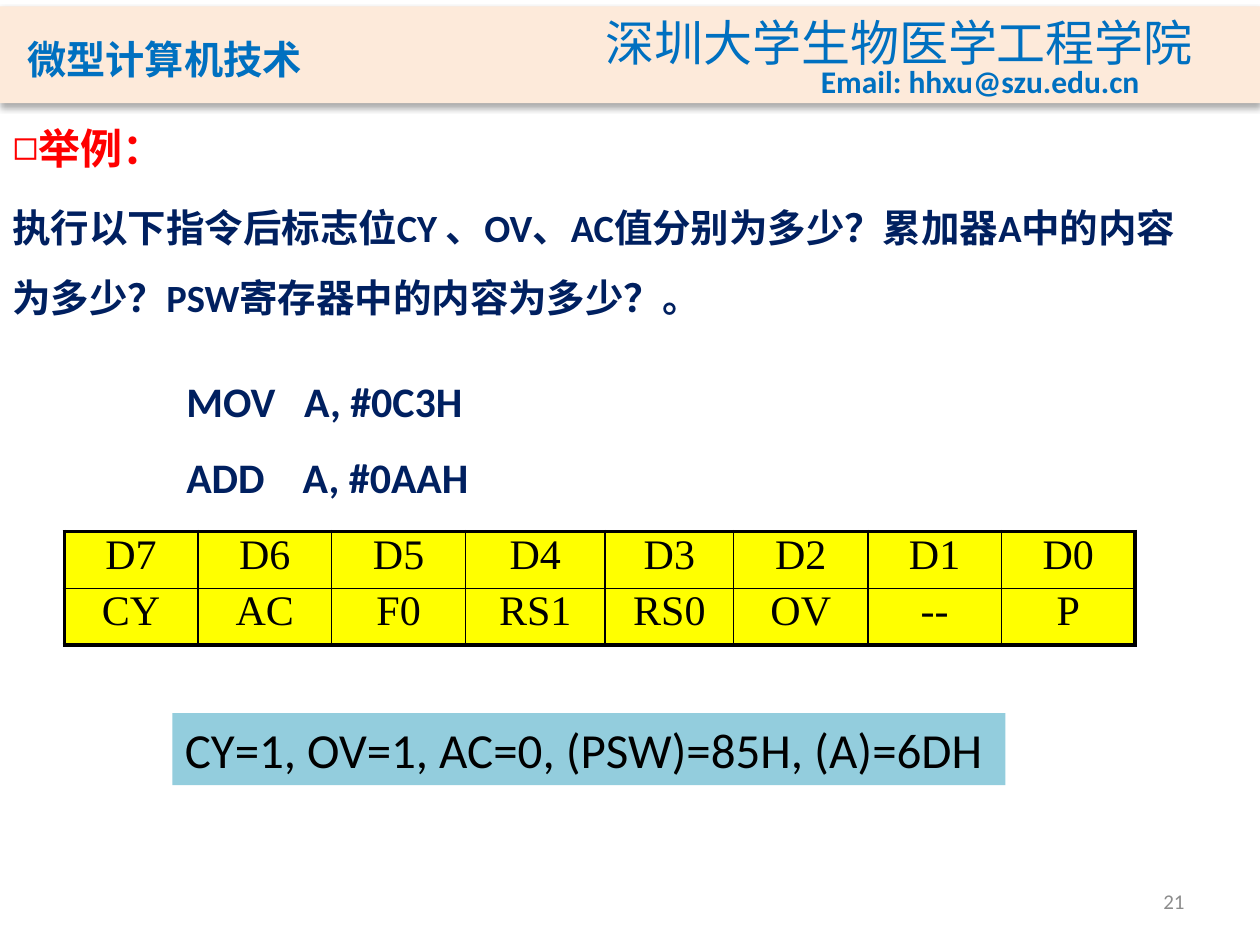
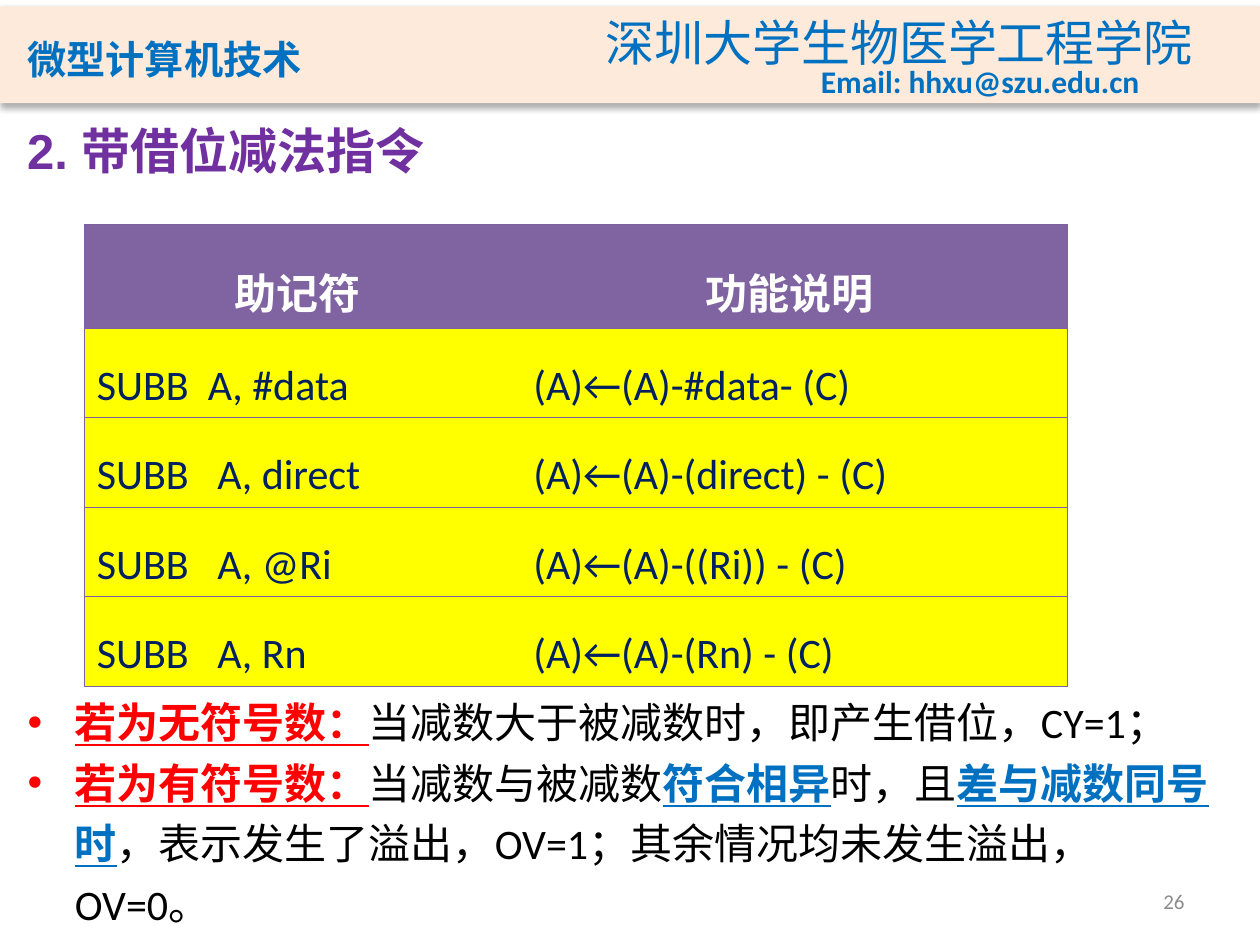
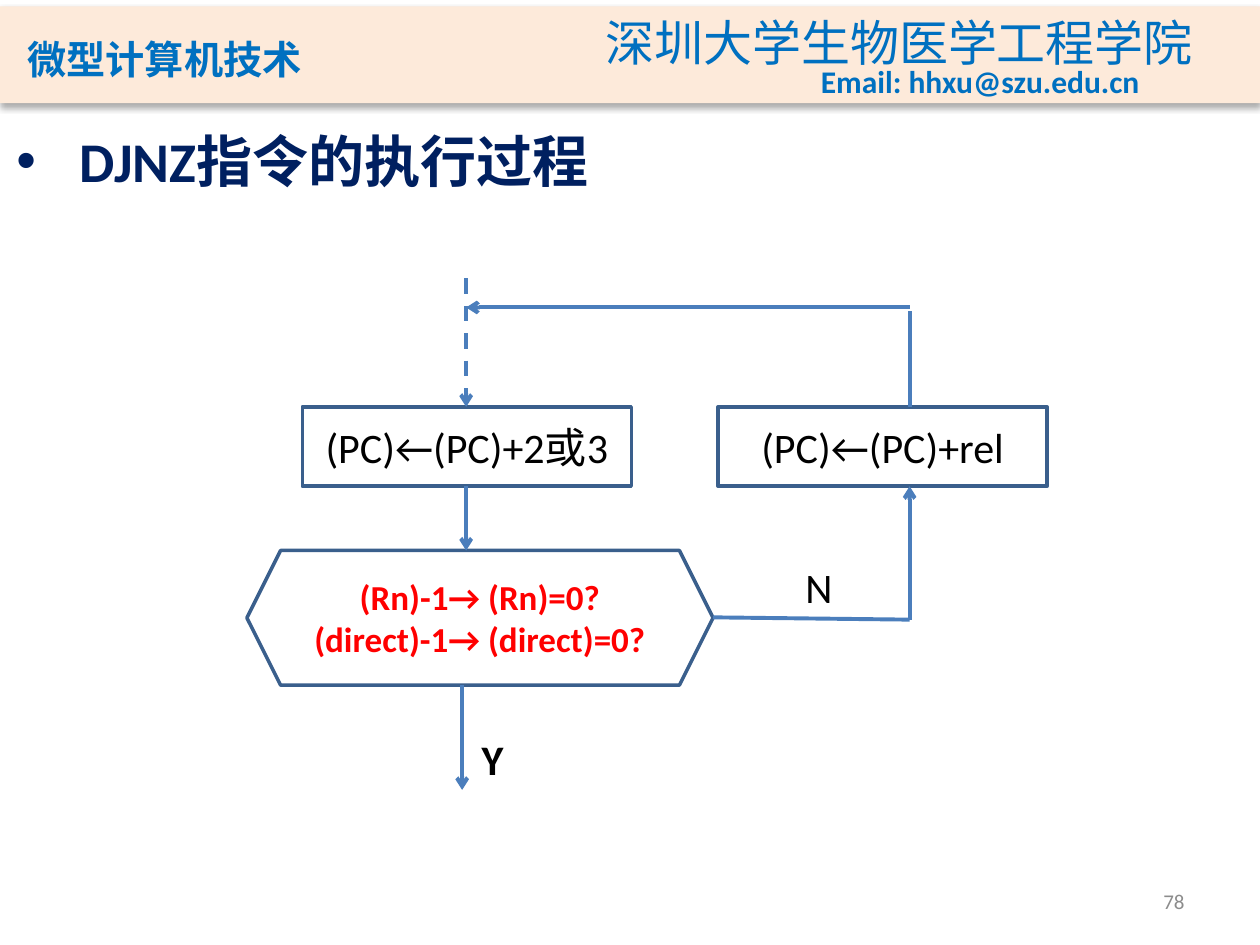
from dataclasses import dataclass

from lxml.etree import SubElement
from pptx import Presentation
from pptx.dml.color import RGBColor
from pptx.enum.dml import MSO_LINE
from pptx.enum.shapes import MSO_CONNECTOR, MSO_SHAPE
from pptx.enum.text import MSO_ANCHOR, MSO_AUTO_SIZE, PP_ALIGN
from pptx.oxml.ns import qn
from pptx.util import Pt


@dataclass(frozen=True)
class Style:
    size: float
    color: str
    bold: bool = False
    face: str = "Calibri"
    east: str = ""
    caps: bool = False


@dataclass(frozen=True)
class Theme:
    cream: str = "FDEADA"
    blue: str = "0070C0"
    red: str = "FF0000"
    black: str = "000000"
    yellow: str = "FFFF00"
    aqua: str = "93CDDD"
    violet: str = "8064A2"
    rule: str = "7D60A0"
    edge: str = "3A5F8C"
    wire: str = "4B7EBC"
    course: Style = Style(28, "0070C0", True, "Noto Sans CJK JP", "Noto Sans CJK JP", True)
    school: Style = Style(28, "0070C0", False, "Noto Sans CJK SC", "Noto Sans CJK SC")
    mail: Style = Style(18, "0070C0", True)
    page: Style = Style(12, "8C8C8C")
    lead: Style = Style(24, "FF0000", True)
    topic: Style = Style(28, "7030A0", True, "Arial")
    head: Style = Style(32, "002060", True)
    ask: Style = Style(22, "002060", True)
    code: Style = Style(24, "002060", True)
    bit: Style = Style(24, "000000", False, "Times New Roman")
    answer: Style = Style(28, "000000")
    label: Style = Style(24, "000000")
    strong: Style = Style(24, "000000", True)
    test: Style = Style(20, "FF0000", True)
    column: Style = Style(24, "FFFFFF", True)
    entry: Style = Style(24, "002060")


@dataclass(frozen=True)
class Box:
    x: float
    y: float
    w: float
    h: float

    def inner(self, x, y, w, h):
        return Box(self.x + x, self.y + y, w, h)

    def lengths(self):
        return [Pt(v) for v in (self.x, self.y, self.w, self.h)]


THEME = Theme()
CENTER = PP_ALIGN.CENTER
LEFT = PP_ALIGN.LEFT
PLAIN = "{2D5ABB26-0587-4C30-8999-92F81FD0307C}"


def tint(code):
    return RGBColor.from_string(code)


def bullet(para, mark, color, indent):
    props = para._p.get_or_add_pPr()
    props.set("marL", str(Pt(indent)))
    props.set("indent", str(-Pt(indent)))
    if mark:
        SubElement(SubElement(props, qn("a:buClr")), qn("a:srgbClr")).set("val", color)
        SubElement(props, qn("a:buFont")).set("typeface", "Arial")
        SubElement(props, qn("a:buChar")).set("char", mark)
    else:
        SubElement(props, qn("a:buNone"))


def dress(para, style):
    font = para.font
    font.size = Pt(style.size)
    font.bold = style.bold
    font.color.rgb = tint(style.color)
    font.name = style.face
    props = para._p.get_or_add_pPr().get_or_add_defRPr()
    if style.east:
        SubElement(props, qn("a:ea")).set("typeface", style.east)
    if style.caps:
        props.set("cap", "small")


def write(frame, lines, style, align=LEFT, space=1.0, mark=None, indent=0,
          anchor=MSO_ANCHOR.TOP):
    frame.auto_size = MSO_AUTO_SIZE.NONE
    frame.word_wrap = align != CENTER
    frame.vertical_anchor = anchor
    for i, line in enumerate(lines):
        para = frame.add_paragraph() if i else frame.paragraphs[0]
        para.alignment = align
        para.line_spacing = space
        para.space_before = Pt(0)
        if mark is not None:
            bullet(para, mark, style.color, indent)
        dress(para, style)
        if isinstance(line, str):
            para.add_run().text = line
            continue
        for text, color in line:
            run = para.add_run()
            run.text = text
            run.font.color.rgb = tint(color)
            run.font.bold = run.font.underline = color != THEME.black


def note(slide, box, lines, style, **opts):
    shape = slide.shapes.add_textbox(*box.lengths())
    write(shape.text_frame, lines, style, **opts)
    return shape


def fill(holder, box, lines, style, **opts):
    holder.left, holder.top, holder.width, holder.height = box.lengths()
    write(holder.text_frame, lines, style, **opts)


def block(slide, kind, box, color=None, edge=None):
    shape = slide.shapes.add_shape(kind, *box.lengths())
    shape.shadow.inherit = False
    if color:
        shape.fill.solid()
        shape.fill.fore_color.rgb = tint(color)
    else:
        shape.fill.background()
    if edge:
        shape.line.color.rgb = tint(edge)
        shape.line.width = Pt(2)
    else:
        shape.line.fill.background()
    return shape


def step(slide, kind, box, lines, style):
    shape = block(slide, kind, box, edge=THEME.edge)
    write(shape.text_frame, lines, style, align=CENTER, anchor=MSO_ANCHOR.MIDDLE)


def wire(slide, box, start, end, arrow=True, dash=False):
    ends = [Pt(v) for x, y in (start, end) for v in (box.x + x, box.y + y)]
    line = slide.shapes.add_connector(MSO_CONNECTOR.STRAIGHT, *ends)
    line.line.color.rgb = tint(THEME.wire)
    line.line.width = Pt(2.25)
    if dash:
        line.line.dash_style = MSO_LINE.DASH
    if arrow:
        stroke = line.element.spPr.find(qn("a:ln"))
        SubElement(stroke, qn("a:tailEnd")).set("type", "arrow")
    SubElement(line.element.spPr, qn("a:effectLst"))


def shade(shape):
    effects = shape.element.spPr.find(qn("a:effectLst"))
    outer = SubElement(effects, qn("a:outerShdw"), blurRad=str(Pt(3.5)),
                       dist=str(Pt(2.2)), dir="5400000", rotWithShape="0")
    color = SubElement(outer, qn("a:srgbClr"), val=THEME.black)
    SubElement(color, qn("a:alpha"), val="32000")


def border(cell, sides):
    props = cell._tc.get_or_add_tcPr()
    for i, side in enumerate("LRTB"):
        width = sides.get(side, 0)
        line = props.makeelement(qn(f"a:ln{side}"), {"w": str(Pt(width))})
        if width:
            paint = SubElement(line, qn("a:solidFill"))
            SubElement(paint, qn("a:srgbClr")).set("val", sides["color"])
        else:
            SubElement(line, qn("a:noFill"))
        props.insert(i, line)


def grid(slide, box, widths, rows, format_cell):
    frame = slide.shapes.add_table(len(rows), len(widths), *box.lengths())
    frame.element.xpath(".//a:tableStyleId")[0].text = PLAIN
    table = frame.table
    table.first_row = table.horz_banding = False
    for column, width in zip(table.columns, widths):
        column.width = Pt(width)
    for r, row in enumerate(rows):
        table.rows[r].height = Pt(box.h / len(rows))
        for c, text in enumerate(row):
            format_cell(table.cell(r, c), r, c, text)


def paint(cell, color):
    cell.fill.solid()
    cell.fill.fore_color.rgb = tint(color)


def band(deck, slide, box):
    bar = block(slide, MSO_SHAPE.RECTANGLE, box, THEME.cream)
    shade(bar)
    items = [
        bar,
        note(slide, box.inner(8.6, 8, 244, 40), ["微型计算机技术"], THEME.course,
             anchor=MSO_ANCHOR.BOTTOM),
        note(slide, box.inner(339, 0, 354, 41), ["深圳大学生物医学工程学院"], THEME.school),
        note(slide, box.inner(462, 28, 200, 29), ["Email: hhxu@szu.edu.cn"], THEME.mail),
    ]
    for i, item in enumerate(items, 20):
        item.element.xpath(".//p:cNvPr")[0].set("id", str(i))
        deck.slide_master.shapes.element.append(item.element)


def number(slide, text):
    note(slide, Box(516, 500.5, 168, 28.8), [text], THEME.page,
         align=PP_ALIGN.RIGHT, anchor=MSO_ANCHOR.MIDDLE)


def flags(slide, box):
    rows = [[f"D{i}" for i in range(7, -1, -1)],
            ["CY", "AC", "F0", "RS1", "RS0", "OV", "--", "P"]]
    widths = [76.4, 76.4, 76.6, 79.6, 73.6, 76.6, 76.4, 76.4]

    def format_cell(cell, r, c, text):
        paint(cell, THEME.yellow)
        cell.margin_top = Pt(0)
        write(cell.text_frame, [text], THEME.bit, align=CENTER)
        thick = {"L": c == 0, "R": c == 7, "T": r == 0, "B": r == 1}
        sides = {side: 2.25 if outer else 1 for side, outer in thick.items()}
        border(cell, {**sides, "color": THEME.black})

    grid(slide, box, widths, rows, format_cell)


def orders(slide, box):
    rows = [("助记符", "功能说明"),
            ("SUBB  A, #data", "(A)←(A)-#data- (C)"),
            ("SUBB   A, direct", "(A)←(A)-(direct) - (C)"),
            ("SUBB   A, @Ri", "(A)←(A)-((Ri)) - (C)"),
            ("SUBB   A, Rn", "(A)←(A)-(Rn) - (C)")]

    def format_cell(cell, r, c, text):
        paint(cell, THEME.yellow if r else THEME.violet)
        if r and c:
            cell.margin_left = Pt(12.6)
        write(cell.text_frame, [text], THEME.entry if r else THEME.column,
              align=LEFT if r else CENTER, space=1.5)
        border(cell, {"T": 0.75, "B": 0.75, "LR"[c]: 0.75, "color": THEME.rule})

    grid(slide, box, [244, 317.6], rows, format_cell)


def flow(slide, box):
    wide, tall = 188, 45.4
    left, right, top = 31.7, 269.3, 73.4
    main, loop = 125.3, 378.7
    test, out = 155.5, 232.5
    low, turn = top + tall, 195
    rect = MSO_SHAPE.RECTANGLE
    step(slide, rect, box.inner(left, top, wide, tall), ["(PC)←(PC)+2或3"], THEME.label)
    step(slide, rect, box.inner(right, top, wide, tall), ["(PC)←(PC)+rel"], THEME.label)
    step(slide, MSO_SHAPE.HEXAGON, box.inner(0, test, 266.4, out - test),
         ["(Rn)-1→ (Rn)=0?", "(direct)-1→ (direct)=0?"], THEME.test)
    wire(slide, box, (main, 0), (main, top), dash=True)
    wire(slide, box, (loop, 16.6), (main, 16.6))
    wire(slide, box, (loop, 18.7), (loop, top), arrow=False)
    wire(slide, box, (main, low), (main, test))
    wire(slide, box, (123, out), (123, 292.3))
    wire(slide, box, (loop, turn), (266.4, 193.7), arrow=False)
    wire(slide, box, (loop, turn), (loop, low))
    note(slide, box.inner(311.8, 158.4, 30.2, 36), ["N"], THEME.label, align=CENTER)
    note(slide, box.inner(126.7, 256.3, 27.4, 36), ["Y"], THEME.strong, align=CENTER)


def sample(slide):
    fill(slide.shapes.title, Box(0, 66.2, 116, 34), ["举例："], THEME.lead,
         mark="◻")
    fill(slide.placeholders[1], Box(0, 100, 699, 83),
         ["执行以下指令后标志位CY 、OV、AC值分别为多少？累加器A中的内容为多少？"
          "PSW寄存器中的内容为多少？。"], THEME.ask, space=1.5, mark="")
    flags(slide, Box(36.7, 303.8, 612, 64.8))
    note(slide, Box(99.4, 196.6, 180, 94.3), ["MOV   A, #0C3H", "ADD    A, #0AAH"],
         THEME.code, space=1.5)
    reply = block(slide, MSO_SHAPE.RECTANGLE, Box(98.6, 407.5, 476, 41.2), THEME.aqua)
    write(reply.text_frame, ["CY=1, OV=1, AC=0, (PSW)=85H, (A)=6DH"], THEME.answer)


def borrow(slide):
    red, blue, black = THEME.red, THEME.blue, THEME.black
    fill(slide.shapes.title, Box(0.7, 65.5, 256.4, 41), ["2. 带借位减法指令"],
         THEME.topic, align=CENTER)
    orders(slide, Box(48.2, 128.2, 561.6, 252))
    fill(slide.placeholders[1], Box(8.6, 388.8, 697.7, 112.3), [
        [("若为无符号数：", red), ("当减数大于被减数时，即产生借位，CY=1；", black)],
        [("若为有符号数：", red), ("当减数与被减数", black), ("符合相异", blue),
         ("时，且", black), ("差与减数同号时", blue),
         ("，表示发生了溢出，OV=1；其余情况均未发生溢出，OV=0。", black)],
    ], THEME.lead, space=1.2, mark="•", indent=27)


def jump(slide):
    fill(slide.shapes.title, Box(2.2, 68.4, 345.6, 46), ["DJNZ指令的执行过程"],
         THEME.head, mark="•", indent=36)
    flow(slide, Box(141.1, 159.1, 457.3, 292.3))


def main():
    deck = Presentation()
    deck.slide_width, deck.slide_height = Pt(720), Pt(540)
    pages = [(sample, 1, "21"), (borrow, 1, "26"), (jump, 5, "78")]
    for build, layout, page in pages:
        slide = deck.slides.add_slide(deck.slide_layouts[layout])
        if build is sample:
            band(deck, slide, Box(0, 3.6, 720, 55.4))
        build(slide)
        number(slide, page)
    deck.save("out.pptx")


if __name__ == "__main__":
    main()
